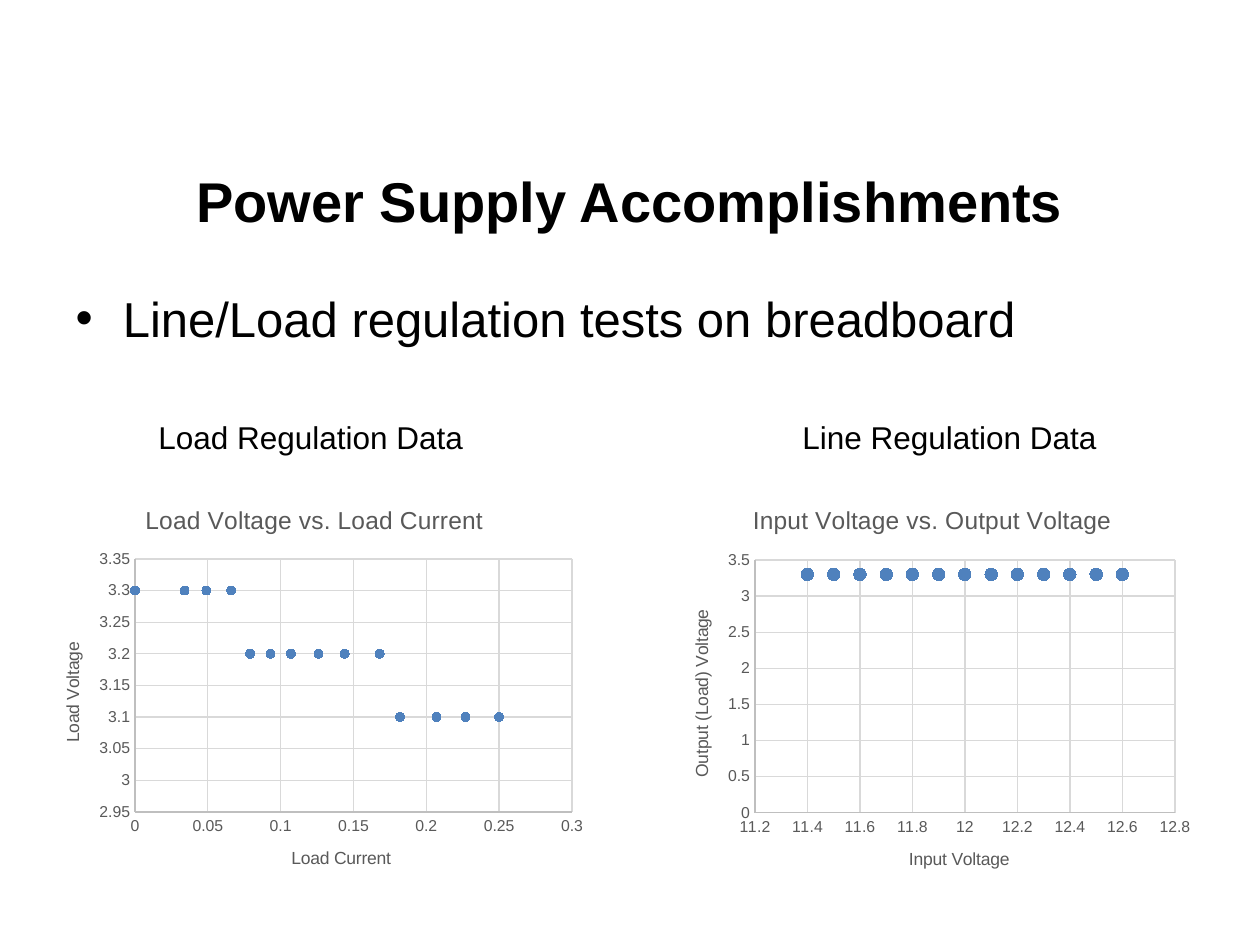
from lxml import etree
from pptx import Presentation
from pptx.chart.data import XyChartData
from pptx.dml.color import RGBColor
from pptx.enum.chart import XL_CHART_TYPE as ChartType, XL_MARKER_STYLE as Marker
from pptx.enum.chart import XL_TICK_MARK as Tick
from pptx.enum.text import MSO_ANCHOR as Anchor, PP_ALIGN as Align
from pptx.oxml.ns import qn
from pptx.util import Emu, Pt

SCALE = 914400 / 126  # EMU in one px
FONT = "Arial"
COLORS = {"text": "000000", "label": "595959", "axis": "BFBFBF",
          "grid": "D9D9D9", "point": "4F81BD"}

LOAD = [(0, 3.3), (0.034, 3.3), (0.049, 3.3), (0.066, 3.3), (0.079, 3.2),
        (0.093, 3.2), (0.107, 3.2), (0.126, 3.2), (0.144, 3.2), (0.168, 3.2),
        (0.182, 3.1), (0.207, 3.1), (0.227, 3.1), (0.25, 3.1)]
LINE = [((126 - i) / 10, 3.3) for i in range(13)]


def px(n):
    return Emu(round(n * SCALE))


def rgb(name):
    return RGBColor.from_string(COLORS[name])


def style_font(font, size, color="text", bold=False):
    font.name, font.size, font.bold = FONT, Pt(size), bold
    font.color.rgb = rgb(color)


def write(tf, text, size, color="text", bold=False, align=None, anchor=None):
    p = tf.paragraphs[0]
    r = p.add_run()
    r.text = text
    style_font(r.font, size, color, bold)
    if align is not None:
        p.alignment = align
    if anchor is not None:
        tf.vertical_anchor = anchor


def place(sp, box):
    sp.left, sp.top, sp.width, sp.height = map(px, box)
    return sp.text_frame


def style_axis(axis, title, low, high, step):
    axis.minimum_scale, axis.maximum_scale, axis.major_unit = low, high, step
    axis.major_tick_mark = axis.minor_tick_mark = Tick.NONE
    axis.has_major_gridlines = True
    for line, color in ((axis.format.line, "axis"),
                        (axis.major_gridlines.format.line, "grid")):
        line.color.rgb = rgb(color)
        line.width = Pt(0.75)
    axis.tick_labels.number_format = "General"
    axis.tick_labels.number_format_is_linked = False
    style_font(axis.tick_labels.font, 9, "label")
    write(axis.axis_title.text_frame, title, 10, "label")


def set_plot_box(chart, box, plot):
    """Fix the inner plot area, given in px relative to the chart box."""
    area = chart.plots[0]._element.getparent()
    layout = area.find(qn("c:layout"))
    if layout is None:
        layout = etree.Element(qn("c:layout"))
        area.insert(0, layout)
    manual = etree.SubElement(layout, qn("c:manualLayout"))
    x, y, w, h = plot
    values = {"layoutTarget": "inner", "xMode": "edge", "yMode": "edge",
              "x": x / box[2], "y": y / box[3], "w": w / box[2], "h": h / box[3]}
    for tag, value in values.items():
        etree.SubElement(manual, qn("c:" + tag)).set("val", str(value))


def add_scatter(slide, box, plot, title, points, x_axis, y_axis, marker_size):
    data = XyChartData()
    series = data.add_series("Series 1")
    for x, y in points:
        series.add_data_point(x, y)
    chart = slide.shapes.add_chart(ChartType.XY_SCATTER, *map(px, box), data).chart
    style_font(chart.font, 10)
    chart.has_legend = False
    chart.has_title = True
    write(chart.chart_title.text_frame, title, 14, "label")
    chart.chart_title.include_in_layout = False
    style_axis(chart.category_axis, *x_axis)
    style_axis(chart.value_axis, *y_axis)
    set_plot_box(chart, box, plot)

    chart.plots[0].vary_by_categories = False
    s = chart.plots[0].series[0]
    s.smooth = False
    s.format.line.fill.background()
    s.marker.style, s.marker.size = Marker.CIRCLE, marker_size
    s.marker.format.fill.solid()
    s.marker.format.fill.fore_color.rgb = rgb("point")
    s.marker.format.line.color.rgb = rgb("point")


def add_heading(slide, box, text):
    tf = slide.shapes.add_textbox(*map(px, box)).text_frame
    tf.word_wrap = True
    write(tf, text, 18)


def add_header(slide):
    title, body = slide.placeholders
    write(place(title, (63, 145, 1134, 111)), "Power Supply Accomplishments", 32,
          bold=True, align=Align.CENTER, anchor=Anchor.MIDDLE)
    write(place(body, (63, 282, 1134, 562)),
          "Line/Load regulation tests on breadboard", 28)


def main():
    prs = Presentation()
    prs.slide_width, prs.slide_height = px(1260), px(945)
    slide = prs.slides.add_slide(prs.slide_layouts[1])
    add_header(slide)

    # Load regulation
    add_scatter(slide, (35, 485, 559, 410), (100, 74, 437, 253),
                "Load Voltage vs. Load Current", LOAD,
                ("Load Current", 0, 0.3, 0.05),
                ("Load Voltage", 2.95, 3.35, 0.05), 5)
    add_heading(slide, (146, 412, 432, 50), "Load Regulation Data")

    # Line regulation
    add_scatter(slide, (664, 485, 537, 411), (91, 75, 420, 253),
                "Input Voltage vs. Output Voltage", LINE,
                ("Input Voltage", 11.2, 12.8, 0.2),
                ("Output (Load) Voltage", 0, 3.5, 0.5), 7)
    add_heading(slide, (790, 412, 378, 50), "Line Regulation Data")

    prs.save("out.pptx")


if __name__ == "__main__":
    main()
